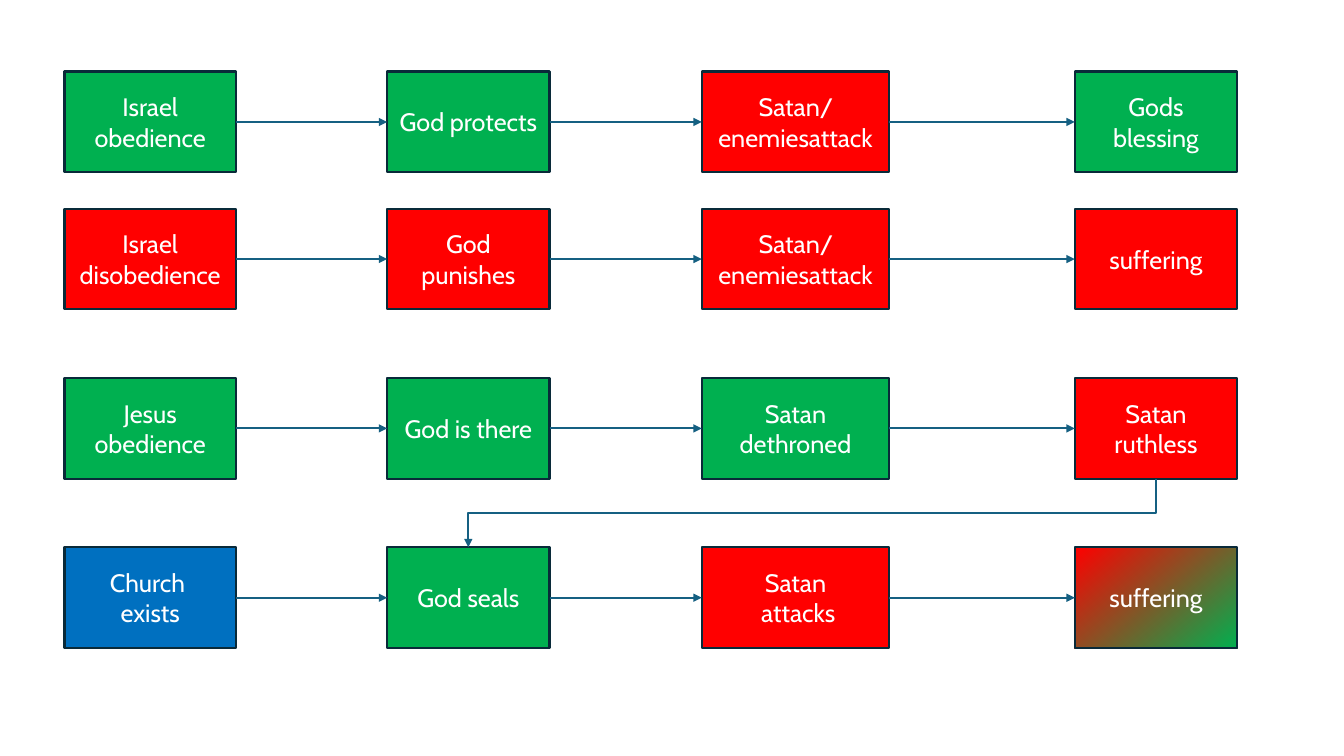
from dataclasses import dataclass

from pptx import Presentation
from pptx import util as u
from pptx.dml.color import RGBColor
from pptx.enum import shapes, text
from pptx.oxml import ns, xmlchemy
from pptx.oxml import parse_xml

GREEN, RED, BLUE = "00B050", "FF0000", "0070C0"
BORDER, ARROW, WHITE = "092A39", "156082", "FFFFFF"
TOP, LEFT, BOTTOM, RIGHT = range(4)


@dataclass(frozen=True)
class Column:
    left: float
    width: float


@dataclass(frozen=True)
class Step:
    words: str
    fills: tuple[str, ...]


COLUMNS = [Column(0.64, 1.7), Column(3.84, 1.61), Column(6.96, 1.86), Column(10.66, 1.61)]
ROW_TOPS = [0.71, 2.07, 3.75, 5.43]
ROW_HEIGHT = 1
STORIES = [
    [
        Step("Israel\nobedience", (GREEN,)),
        Step("God protects", (GREEN,)),
        Step("Satan/enemiesattack", (RED,)),
        Step("Gods blessing", (GREEN,)),
    ],
    [
        Step("Israel\ndisobedience", (RED,)),
        Step("God punishes", (RED,)),
        Step("Satan/enemiesattack", (RED,)),
        Step("suffering", (RED,)),
    ],
    [
        Step("Jesus\nobedience", (GREEN,)),
        Step("God is there", (GREEN,)),
        Step("Satan dethroned", (GREEN,)),
        Step("Satan\nruthless", (RED,)),
    ],
    [
        Step("Church \nexists", (BLUE,)),
        Step("God seals", (GREEN,)),
        Step("Satan\n attacks", (RED,)),
        Step("suffering", (RED, GREEN)),
    ],
]


def colour(code: str) -> RGBColor:
    return RGBColor.from_string(code)


def write(box, words: str, *, size: float = 18, font: str = "Cabin", ink: str = WHITE) -> None:
    frame = box.text_frame
    frame.word_wrap = True
    frame.vertical_anchor = text.MSO_ANCHOR.MIDDLE
    frame.text = words
    for para in frame.paragraphs:
        para.alignment = text.PP_ALIGN.CENTER
        for span in para.runs:
            span.font.size = u.Pt(size)
            span.font.name = font
            span.font.color.rgb = colour(ink)


def paint(box, fills: tuple[str, ...]) -> None:
    if len(fills) == 1:
        box.fill.solid()
        box.fill.fore_color.rgb = colour(fills[0])
        return
    box.fill.gradient()
    box.fill.gradient_angle = 310
    for stop, code in zip(box.fill.gradient_stops, fills):
        stop.color.rgb = colour(code)


def draw_step(page, step: Step, column: Column, top: float):
    box = page.shapes.add_shape(
        shapes.MSO_SHAPE.RECTANGLE,
        *map(u.Inches, (column.left, top, column.width, ROW_HEIGHT)),
    )
    box.shadow.inherit = False
    paint(box, step.fills)
    box.line.color.rgb = colour(BORDER)
    box.line.width = u.Pt(1.5)
    write(box, step.words)
    return box


def style_arrow(arrow) -> None:
    arrow.line.color.rgb = colour(ARROW)
    arrow.line.width = u.Pt(1.5)
    line = arrow.line._get_or_add_ln()
    line.append(parse_xml(f'<a:tailEnd {ns.nsdecls("a")} type="triangle"/>'))
    arrow.element.spPr.append(parse_xml(f'<a:effectLst {ns.nsdecls("a")}/>'))


def join_across(page, source, target) -> None:
    arrow = page.shapes.add_connector(shapes.MSO_CONNECTOR.STRAIGHT, 0, 0, 0, 0)
    arrow.begin_connect(source, RIGHT)
    arrow.end_connect(target, LEFT)
    style_arrow(arrow)


def join_down(page, source, target) -> None:
    start_x = source.left + source.width // 2
    start_y = source.top + source.height
    end_x = target.left + target.width // 2
    middle_x, middle_y = (start_x + end_x) // 2, (start_y + target.top) // 2
    half_drop, half_span = (target.top - start_y) // 2, (start_x - end_x) // 2
    arrow = page.shapes.add_connector(
        shapes.MSO_CONNECTOR.ELBOW,
        middle_x - half_drop,
        middle_y - half_span,
        middle_x + half_drop,
        middle_y + half_span,
    )
    arrow.element.spPr.find(ns.qn("a:xfrm")).set("rot", str(90 * 60000))
    style_arrow(arrow)


def main() -> None:
    deck = Presentation()
    deck.slide_width, deck.slide_height = u.Inches(13.33), u.Inches(7.5)
    page = deck.slides.add_slide(deck.slide_layouts[6])
    grid = [
        [draw_step(page, step, column, top) for step, column in zip(story, COLUMNS)]
        for story, top in zip(STORIES, ROW_TOPS)
    ]
    for row in grid:
        for source, target in zip(row, row[1:]):
            join_across(page, source, target)
    join_down(page, grid[2][3], grid[3][1])
    deck.save("out.pptx")


if __name__ == "__main__":
    main()
